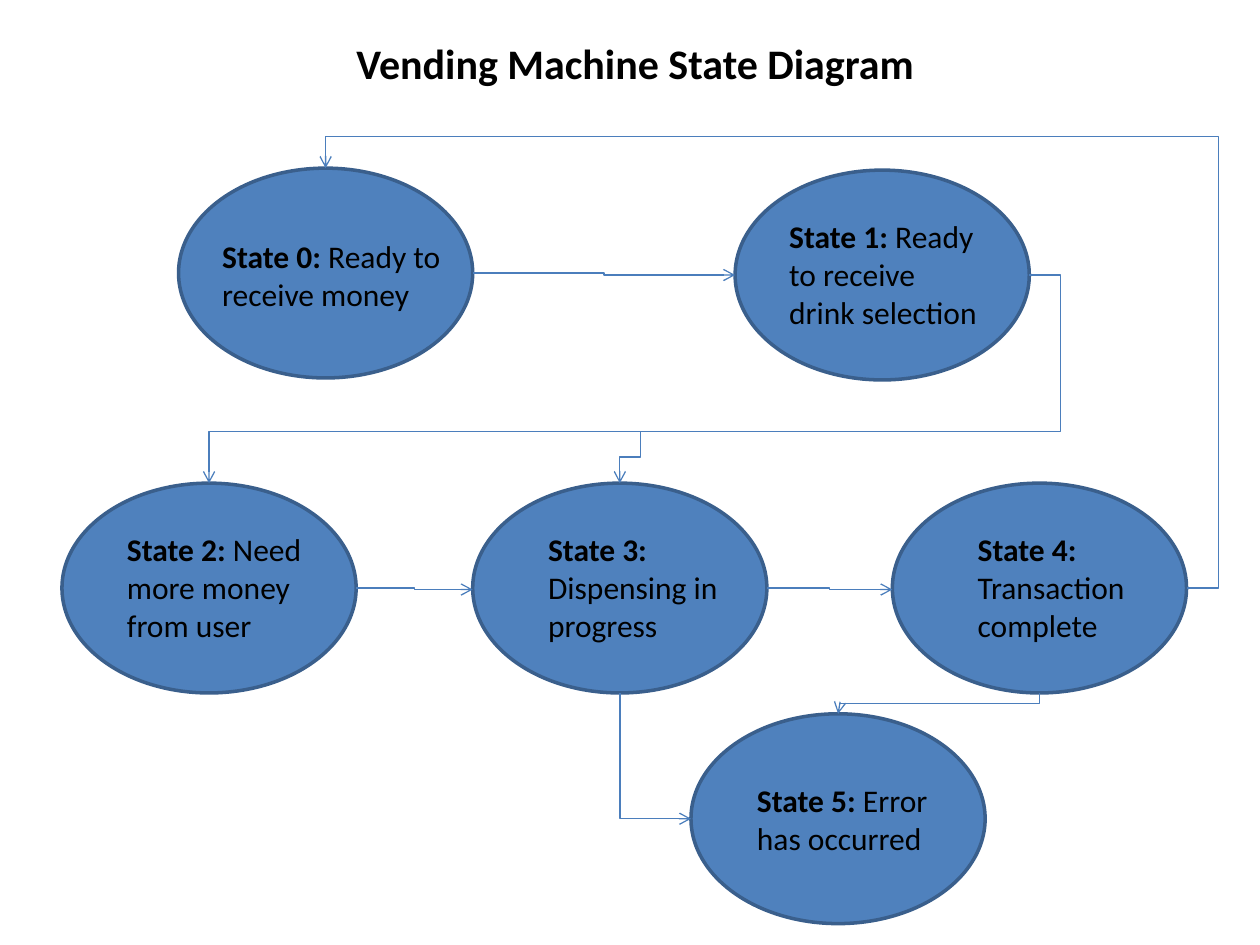
"""Build the vending machine state diagram slide."""
from lxml import etree
from pptx import Presentation
from pptx.dml.color import RGBColor
from pptx.enum.shapes import MSO_CONNECTOR, MSO_SHAPE
from pptx.enum.text import MSO_AUTO_SIZE, PP_ALIGN
from pptx.oxml.ns import qn
from pptx.util import Cm, Pt

ELBOW, OVAL = MSO_CONNECTOR.ELBOW, MSO_SHAPE.OVAL
GROW = MSO_AUTO_SIZE.SHAPE_TO_FIT_TEXT
CENTER, LEFT = PP_ALIGN.CENTER, PP_ALIGN.LEFT
COLORS = {"fill": "4F81BD", "edge": "3A5F8C", "link": "4B7EBC", "text": "000000"}
FONT = "Calibri"
OVAL_W, OVAL_H = 5.93, 4.23
ROW_Y = 9.74

STATES = [
    {"oval": (3.6, 3.39), "text": (4.23, 4.65, 5.08, 1.8),
     "runs": ("State 0:", " Ready to receive money")},
    {"oval": (14.82, 3.43), "text": (15.66, 4.26, 4.45, 2.57),
     "runs": ("State 1:", " Ready to receive drink selection")},
    {"oval": (1.25, ROW_Y), "text": (2.31, 10.57, 4.45, 2.57),
     "runs": ("State 2:", " Need more money from user")},
    {"oval": (9.53, ROW_Y), "text": (10.8, 10.57, 4.66, 2.57),
     "runs": ("State 3: ", "Dispensing in progress")},
    {"oval": (17.99, ROW_Y), "text": (19.46, 10.57, 4.45, 2.57),
     "runs": ("State 4:", " Transaction complete")},
    {"oval": (13.93, 14.39), "text": (15.01, 15.62, 4.45, 1.8),
     "runs": ("State 5:", " Error has occurred")},
]
TITLE = ("Vending Machine State Diagram", (4.22, 0.64, 17.17, 1.27))

SIDES = {"top": (0.5, 0), "left": (0, 0.5), "bottom": (0.5, 1), "right": (1, 0.5)}


def anchor(state, side, drop=0):
    x, y = STATES[state]["oval"]
    fx, fy = SIDES[side]
    return x + OVAL_W * fx, y + OVAL_H * fy + drop


LINKS = [
    {"ends": (anchor(0, "right"), anchor(1, "left"))},
    {"ends": (anchor(1, "right"), anchor(2, "top")),
     "preset": "bentConnector4", "adj": (-3800, 75200)},
    {"ends": ((12.91, 8.69), anchor(3, "top")), "turn": 90},
    {"ends": (anchor(2, "right"), anchor(3, "left", 0.03))},
    {"ends": (anchor(3, "right"), anchor(4, "left", 0.03))},
    {"ends": (anchor(4, "right"), anchor(0, "top")),
     "preset": "bentConnector4", "adj": (-3700, 107500)},
    {"ends": (anchor(3, "bottom"), anchor(5, "left")),
     "preset": "bentConnector2", "turn": 270, "flip": True},
    {"ends": (anchor(4, "bottom"), anchor(5, "top")), "turn": 90},
]


def rgb(name):
    return RGBColor.from_string(COLORS[name])


def add_oval(shapes, x, y):
    sp = shapes.add_shape(OVAL, *map(Cm, (x, y, OVAL_W, OVAL_H)))
    sp.shadow.inherit = False
    sp.fill.solid()
    sp.fill.fore_color.rgb = rgb("fill")
    sp.line.color.rgb = rgb("edge")
    sp.line.width = Pt(2)


def add_text(shapes, box, runs, size=18, align=LEFT):
    tf = shapes.add_textbox(*map(Cm, box)).text_frame
    tf.word_wrap = True
    tf.auto_size = GROW
    p = tf.paragraphs[0]
    p.alignment = align
    for i, text in enumerate(runs):
        r = p.add_run()
        r.text = text
        for key, value in {"name": FONT, "size": Pt(size), "bold": i == 0}.items():
            setattr(r.font, key, value)
        r.font.color.rgb = rgb("text")


def add_link(shapes, ends, preset="bentConnector3", adj=(), turn=0, flip=False):
    (x1, y1), (x2, y2) = ends
    cx = shapes.add_connector(ELBOW, *map(Cm, (x1, y1, x2, y2)))
    pr = cx._element.spPr
    if turn:
        w, h = abs(y2 - y1), abs(x2 - x1)
        box = {"left": (x1 + x2 - w) / 2, "top": (y1 + y2 - h) / 2,
               "width": w, "height": h}
        for key, value in box.items():
            setattr(cx, key, Cm(value))
        xfrm = pr.find(qn("a:xfrm"))
        for key, value in {"rot": turn * 60000, "flipH": int(flip), "flipV": 0}.items():
            xfrm.set(key, str(value))
    geom = pr.find(qn("a:prstGeom"))
    geom.set("prst", preset)
    guides = geom.find(qn("a:avLst"))
    for i, value in enumerate(adj, 1):
        etree.SubElement(guides, qn("a:gd"), name=f"adj{i}", fmla=f"val {value}")
    cx.line.color.rgb = rgb("link")
    cx.line.width = Pt(0.75)
    etree.SubElement(pr.find(qn("a:ln")), qn("a:tailEnd"), type="arrow")
    etree.SubElement(pr, qn("a:effectLst"))


prs = Presentation()
prs.slide_width, prs.slide_height = Cm(25.4), Cm(19.05)
s = prs.slides.add_slide(prs.slide_layouts[6])
for state in STATES:
    add_oval(s.shapes, *state["oval"])
for state in STATES:
    add_text(s.shapes, state["text"], state["runs"])
for link in LINKS:
    add_link(s.shapes, **link)
add_text(s.shapes, TITLE[1], TITLE[:1], 24, CENTER)
prs.save("out.pptx")
